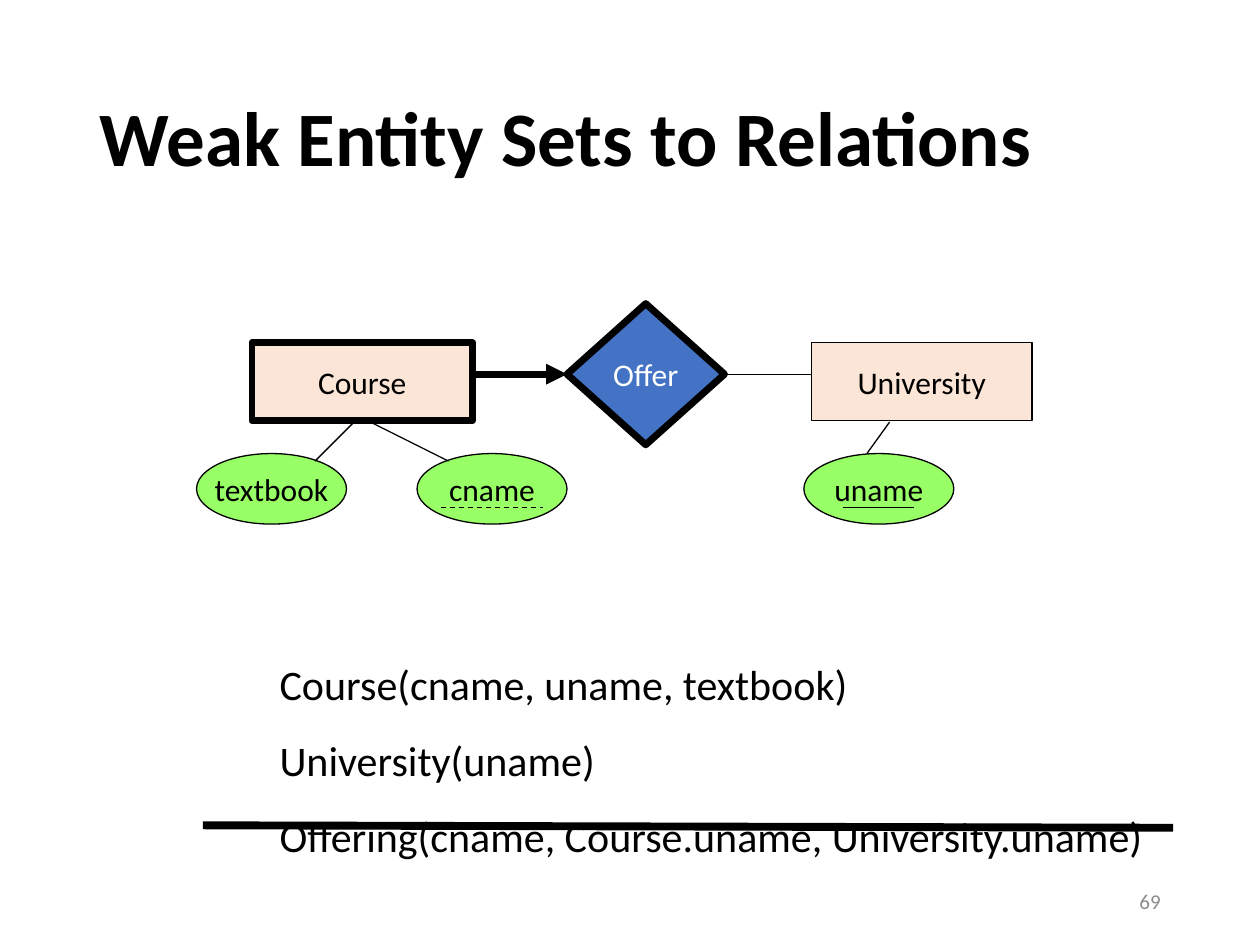
"""Build the slide on turning weak entity sets into relations."""
from lxml import etree
from pptx import Presentation
from pptx import util as u
from pptx.dml.color import RGBColor
from pptx.enum import dml, shapes, text
from pptx.oxml import ns

BLACK = RGBColor(0, 0, 0)
WHITE = RGBColor(255, 255, 255)
GRAY = RGBColor(0x8C, 0x8C, 0x8C)
GREEN = RGBColor(0x99, 0xFF, 0x66)
PEACH = RGBColor(0xFB, 0xE5, 0xD6)
BLUE = RGBColor(0x44, 0x72, 0xC4)
THIN, THICK = 0.75, 4

TITLE = "Weak Entity Sets to Relations"
NUMBER = "69"
RULES = [
    "Course(cname, uname, textbook)",
    "University(uname)",
    "Offering(cname, Course.uname, University.uname)",
]
KINDS = {
    "entity": dict(form=shapes.MSO_SHAPE.RECTANGLE, top=2.72, size=(1.75, 0.62), fill=PEACH, ink=BLACK),
    "link": dict(form=shapes.MSO_SHAPE.DIAMOND, top=2.41, size=(1.25, 1.12), fill=BLUE, ink=WHITE),
    "field": dict(form=shapes.MSO_SHAPE.OVAL, top=3.6, size=(1.19, 0.56), fill=GREEN, ink=BLACK),
}
NODES = [
    ("uname", "field", 6.38, THIN),
    ("University", "entity", 6.44, THIN),
    ("Course", "entity", 2, THICK),
    ("Offer", "link", 4.5, THICK),
    ("cname", "field", 3.31, THIN),
    ("textbook", "field", 1.56, THIN),
]
STEMS = [
    ((2.81, 3.35), (2.5, 3.66)),
    ((2.94, 3.35), (3.56, 3.66)),
    ((7.06, 3.35), (6.88, 3.6)),
]
KEY = ((6.69, 4.03), (7.25, 4.03))
PART_KEY = ((3.5, 4.03), (4.31, 4.03))
BAR = ((1.61, 6.55), (9.31, 6.57))
AXIS = 2.97


def put(frame, lines, size, ink, form=None, para=None):
    """Fill a text frame with one paragraph per line."""
    for name, value in (form or {}).items():
        setattr(frame, name, value)
    for i, line in enumerate(lines):
        p = frame.paragraphs[0] if i == 0 else frame.add_paragraph()
        for name, value in (para or {}).items():
            setattr(p, name, value)
        run = p.add_run()
        run.text = line
        for name, value in dict(name="Calibri", size=u.Pt(size)).items():
            setattr(run.font, name, value)
        run.font.color.rgb = ink


def box(slide, place):
    """Add a text box and return its frame."""
    return slide.shapes.add_textbox(*map(u.Inches, place)).text_frame


def node(slide, label, kind, left, width):
    """Add a labelled part of the diagram."""
    look = KINDS[kind]
    place = map(u.Inches, (left, look["top"], *look["size"]))
    shape = slide.shapes.add_shape(look["form"], *place)
    shape.shadow.inherit = False
    shape.fill.solid()
    shape.fill.fore_color.rgb = look["fill"]
    shape.line.color.rgb = BLACK
    shape.line.width = u.Pt(width)
    put(shape.text_frame, [label], 18, look["ink"],
        dict(word_wrap=False, vertical_anchor=text.MSO_ANCHOR.MIDDLE),
        dict(alignment=text.PP_ALIGN.CENTER))
    return shape


def line(slide, ends, width=THIN):
    """Add a straight black line."""
    places = [u.Inches(n) for point in ends for n in point]
    wire = slide.shapes.add_connector(shapes.MSO_CONNECTOR.STRAIGHT, *places)
    wire.line.color.rgb = BLACK
    wire.line.width = u.Pt(width)
    etree.SubElement(wire._element.spPr, ns.qn("a:effectLst"))
    return wire


def main():
    """Draw the slide and save it."""
    deck = Presentation()
    deck.slide_width, deck.slide_height = u.Inches(10), u.Inches(7.5)
    slide = deck.slides.add_slide(deck.slide_layouts[5])

    title = slide.shapes.title
    place = dict(left=0.69, top=0.4, width=8.62, height=1.45)
    for name, value in place.items():
        setattr(title, name, u.Inches(value))
    put(title.text_frame, [TITLE], 44, BLACK,
        dict(word_wrap=True, vertical_anchor=text.MSO_ANCHOR.MIDDLE),
        dict(alignment=text.PP_ALIGN.LEFT, line_spacing=0.9))
    title.text_frame.paragraphs[0].runs[0].font.bold = True

    put(box(slide, (7.06, 6.95, 2.25, 0.4)), [NUMBER], 12, GRAY,
        dict(word_wrap=True, vertical_anchor=text.MSO_ANCHOR.MIDDLE),
        dict(alignment=text.PP_ALIGN.RIGHT))

    parts = {row[0]: node(slide, *row) for row in NODES}
    offer = parts["Offer"]
    arrow = line(slide, ((4.5, AXIS), (3.75, AXIS)), THICK)
    arrow.begin_connect(offer, 1)
    etree.SubElement(arrow.line._get_or_add_ln(), ns.qn("a:headEnd"), type="triangle")
    line(slide, ((5.75, AXIS), (6.44, AXIS))).begin_connect(offer, 3)
    for ends in STEMS + [KEY]:
        line(slide, ends)
    line(slide, PART_KEY).line.dash_style = dml.MSO_LINE.DASH

    put(box(slide, (2.12, 4.98, 7.12, 1.92)), RULES, 24, BLACK,
        dict(word_wrap=False, auto_size=text.MSO_AUTO_SIZE.SHAPE_TO_FIT_TEXT),
        dict(line_spacing=1.5))
    line(slide, BAR, 4.5)
    deck.save("out.pptx")


if __name__ == "__main__":
    main()
